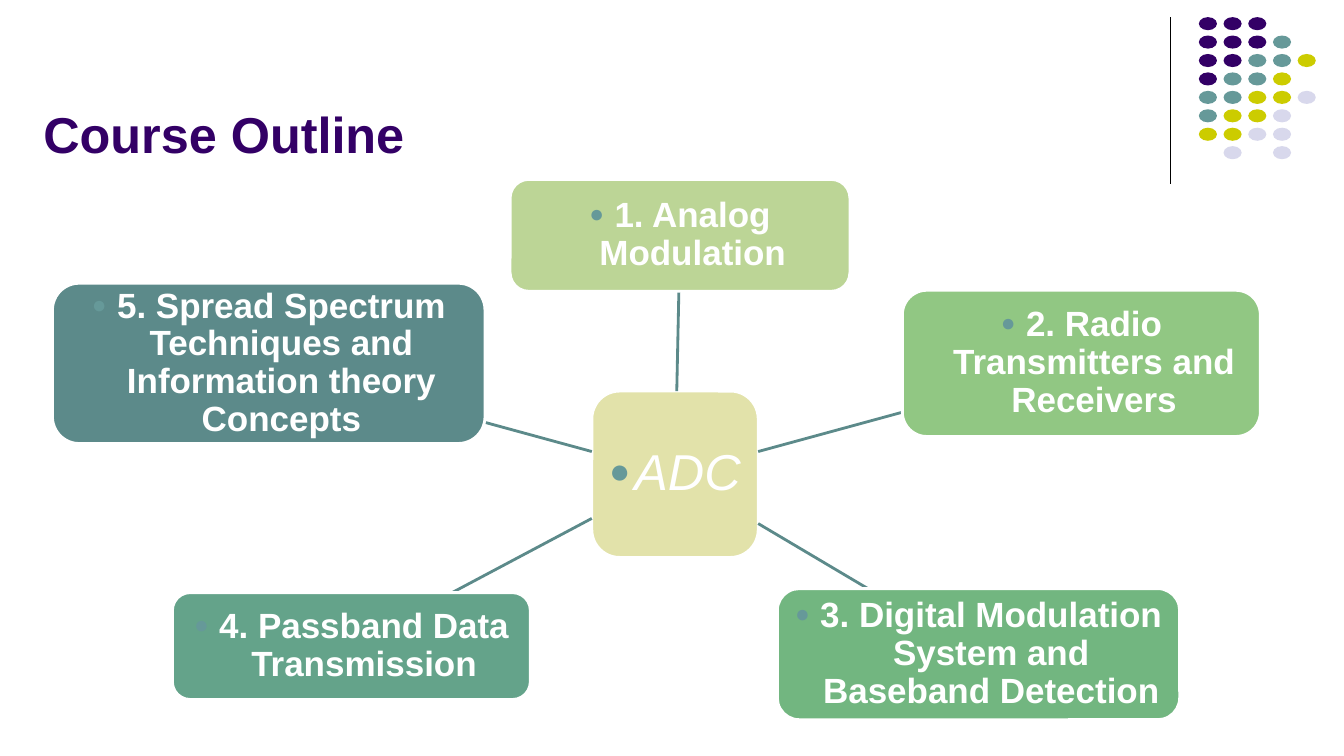
from lxml import etree
from pptx import Presentation
from pptx.dml.color import RGBColor
from pptx.enum import shapes, text
from pptx.oxml.ns import qn
from pptx.util import Inches, Pt

TITLE = "Course Outline"
# Text, box (left, top, width, height), fill
HUB = ("ADC", (5.87, 3.88, 1.65, 1.65), "E2E2AA")
TOPICS = [
    ("1. Analog Modulation", (5.06, 1.78, 3.37, 1.11), "BCD596"),
    ("2. Radio Transmitters and Receivers", (8.95, 2.88, 3.55, 1.45), "91C783"),
    ("3. Digital Modulation System and Baseband Detection",
     (7.71, 5.84, 3.99, 1.3), "72B680"),
    ("4. Passband Data Transmission", (1.71, 5.88, 3.55, 1.06), "64A38A"),
    ("5. Spread Spectrum Techniques and Information theory Concepts",
     (0.52, 2.81, 4.29, 1.59), "5C8A8A"),
]
# Corner dots, one letter per dot, one string per row
DOTS = ["PPP", "PPPT", "PPTTY", "PTTY", "TTYYL", "TYYL", "YYLL", " L L"]
INKS = {"P": "330066", "T": "669999", "Y": "CCCC00", "L": "D8D8EC"}
STEP_X, STEP_Y = 0.98 / 4, 1.28 / 7


def paint(fmt, ink):
    fmt.solid()
    fmt.fore_color.rgb = RGBColor.from_string(ink)


def add_shape(kind, box, ink):
    shape = slide.shapes.add_shape(kind, *map(Inches, box))
    shape.shadow.inherit = False
    paint(shape.fill, ink)
    shape.line.fill.background()
    return shape


def add_line(start, end, ink, width):
    line = slide.shapes.add_connector(
        shapes.MSO_CONNECTOR.STRAIGHT, *map(Inches, start + end))
    paint(line.line.fill, ink)
    line.line.width = Pt(width)
    etree.SubElement(line._element.spPr, qn("a:effectLst"))


def add_bullet(para):
    props = para._p.get_or_add_pPr()
    props.set("marL", str(Inches(0.25)))
    props.set("indent", str(-Inches(0.25)))
    color = etree.SubElement(props, qn("a:buClr"))
    etree.SubElement(color, qn("a:srgbClr"), val="669999")
    etree.SubElement(props, qn("a:buSzPct"), val="70000")
    etree.SubElement(props, qn("a:buFont"), typeface="Arial")
    etree.SubElement(props, qn("a:buChar"), char="●")


def style(para, size, ink, bold=False, italic=False):
    font = para.runs[0].font
    font.name, font.size, font.bold, font.italic = "Arial", Pt(size), bold, italic
    paint(font.fill, ink)


def add_node(words, box, ink, pad, **look):
    node = add_shape(shapes.MSO_SHAPE.ROUNDED_RECTANGLE, box, ink)
    paint(node.line.fill, "FFFFFF")
    node.line.width = Pt(2)
    frame = node.text_frame
    frame.text = words
    frame.word_wrap = True
    frame.vertical_anchor = text.MSO_ANCHOR.MIDDLE
    frame.margin_left = frame.margin_right = Inches(pad)
    frame.margin_top = frame.margin_bottom = Inches(pad)
    para = frame.paragraphs[0]
    para.alignment = text.PP_ALIGN.CENTER
    para.line_spacing = 0.9
    add_bullet(para)
    style(para, ink="FFFFFF", **look)


def center(box):
    left, top, width, height = box
    return left + width / 2, top + height / 2


def edge(box, goal):
    """Point where the line from the box center to goal leaves the box."""
    x, y = center(box)
    dx, dy = goal[0] - x, goal[1] - y
    part = min(size / 2 / abs(d) for size, d in zip(box[2:], (dx, dy)) if d)
    return x + dx * part, y + dy * part


deck = Presentation()
deck.slide_width, deck.slide_height = Inches(13.33), Inches(7.5)
slide = deck.slides.add_slide(deck.slide_layouts[5])

# Corner ornament
add_line((11.61, 0.17), (11.61, 1.83), "000000", 0.75)
for row, marks in enumerate(DOTS):
    for col, mark in enumerate(marks):
        if mark in INKS:
            spot = (11.89 + STEP_X * col, 0.17 + STEP_Y * row, 0.18, 0.13)
            add_shape(shapes.MSO_SHAPE.OVAL, spot, INKS[mark])

# Title
title = slide.shapes.title
title.left, title.top, title.width, title.height = map(
    Inches, (0.33, 0.25, 11.22, 1.42))
title.text_frame.text = TITLE
title.text_frame.auto_size = text.MSO_AUTO_SIZE.NONE
title.text_frame.vertical_anchor = text.MSO_ANCHOR.BOTTOM
title.text_frame.paragraphs[0].alignment = text.PP_ALIGN.LEFT
style(title.text_frame.paragraphs[0], 36, "330066", bold=True)

# Hub, spokes and topics
add_node(*HUB, pad=0.04, size=36, italic=True)
for words, box, ink in TOPICS:
    add_line(edge(HUB[1], center(box)), edge(box, center(HUB[1])), "5C8A8A", 2)
    add_node(words, box, ink, pad=0.07, size=25, bold=True)

deck.save("out.pptx")
